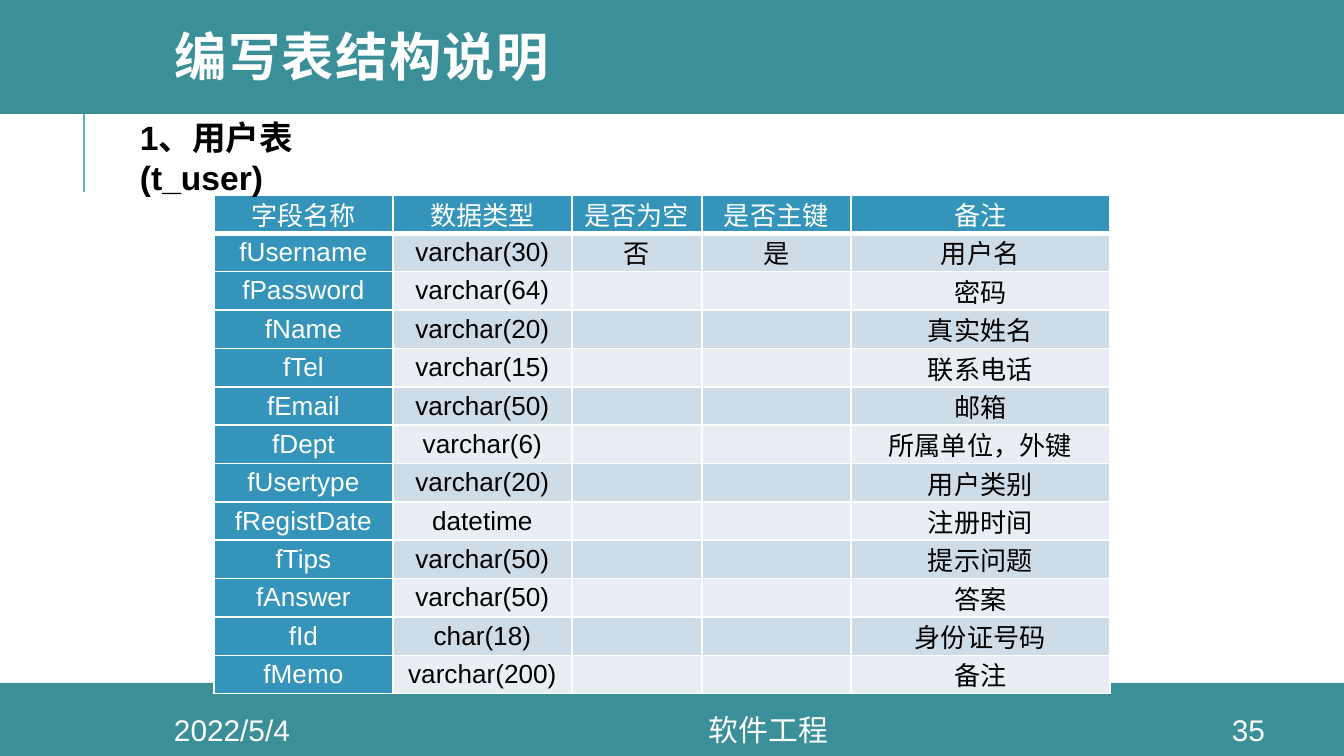
from lxml.etree import SubElement
from pptx import Presentation
from pptx.dml.color import RGBColor
from pptx.enum.shapes import MSO_CONNECTOR, MSO_SHAPE
from pptx.enum.text import MSO_ANCHOR, PP_ALIGN
from pptx.oxml.ns import qn
from pptx.util import Pt

PX = 9144000 / 1344
WHITE = RGBColor(0xFF, 0xFF, 0xFF)
BLACK = RGBColor(0, 0, 0)
TEAL = RGBColor(0x3A, 0x8F, 0x98)
LIGHT_TEAL = RGBColor(0x58, 0xB6, 0xC0)
BLUE = RGBColor(0x34, 0x94, 0xBA)
ROW_FILLS = [RGBColor(0xE8, 0xEE, 0xF3), RGBColor(0xCE, 0xDC, 0xE7)]

COLUMN_WIDTHS = [179, 179, 130, 149, 259]
TABLE_HEIGHT = 499
FIELDS = [
    ("字段名称", "数据类型", "是否为空", "是否主键", "备注"),
    ("fUsername", "varchar(30)", "否", "是", "用户名"),
    ("fPassword", "varchar(64)", "", "", "密码"),
    ("fName", "varchar(20)", "", "", "真实姓名"),
    ("fTel", "varchar(15)", "", "", "联系电话"),
    ("fEmail", "varchar(50)", "", "", "邮箱"),
    ("fDept", "varchar(6)", "", "", "所属单位，外键"),
    ("fUsertype", "varchar(20)", "", "", "用户类别"),
    ("fRegistDate", "datetime", "", "", "注册时间"),
    ("fTips", "varchar(50)", "", "", "提示问题"),
    ("fAnswer", "varchar(50)", "", "", "答案"),
    ("fId", "char(18)", "", "", "身份证号码"),
    ("fMemo", "varchar(200)", "", "", "备注"),
]


def px(*lengths):
    """Turn pixel lengths into a list of EMU."""
    return [round(length * PX) for length in lengths]


def add_text(para, text, size, color, bold=False):
    span = para.add_run()
    span.text = text
    span.font.name = "Arial"
    span.font.size = Pt(size)
    span.font.bold = bold
    span.font.color.rgb = color
    return span


deck = Presentation()
deck.slide_width, deck.slide_height = px(1344, 756)
page = deck.slides.add_slide(deck.slide_layouts[5])

# Side line and the two bands
side_line = page.shapes.add_connector(MSO_CONNECTOR.STRAIGHT, *px(84, 192, 84, 91))
side_line.line.color.rgb = LIGHT_TEAL
side_line.line.width = Pt(1.5)
SubElement(side_line.element.spPr, qn("a:effectLst"))
for top, height in [(683, 73), (-4, 118)]:
    band = page.shapes.add_shape(MSO_SHAPE.RECTANGLE, *px(0, top, 1344, height))
    band.shadow.inherit = False
    band.fill.solid()
    band.fill.fore_color.rgb = TEAL
    band.line.fill.background()

# Title, brought in front of the bands
title = page.shapes.title
page.shapes.element.append(title.element)
title.left, title.top, title.width, title.height = px(161, 0, 1141, 122)
title.text_frame.vertical_anchor = MSO_ANCHOR.MIDDLE
para = title.text_frame.paragraphs[0]
para.alignment = PP_ALIGN.LEFT
para.line_spacing = 0.8
span = add_text(para, "编写表结构说明", 28, WHITE, bold=True)
span.font._element.set("spc", "80")

# Field table
frame = page.shapes.add_table(
    len(FIELDS), len(COLUMN_WIDTHS), *px(214, 195, sum(COLUMN_WIDTHS), TABLE_HEIGHT))
table = frame.table
for column, width in zip(table.columns, COLUMN_WIDTHS):
    column.width = px(width)[0]
for row_number, texts in enumerate(FIELDS):
    table.rows[row_number].height = px(TABLE_HEIGHT / len(FIELDS))[0]
    for column_number, text in enumerate(texts):
        cell = table.cell(row_number, column_number)
        is_header = row_number == 0 or column_number == 0
        cell.margin_left, cell.margin_top, cell.margin_right, cell.margin_bottom = px(8, 0, 8, 0)
        cell.vertical_anchor = MSO_ANCHOR.MIDDLE
        para = cell.text_frame.paragraphs[0]
        para.alignment = PP_ALIGN.CENTER
        if text:
            add_text(para, text, 14, WHITE if is_header else BLACK)
        else:
            SubElement(para._p, qn("a:endParaRPr"), sz="1400")
        for side in ("lnL", "lnR", "lnT", "lnB"):
            points = 3 if row_number == 0 and side == "lnB" else 1
            border = SubElement(cell._tc.get_or_add_tcPr(), qn("a:" + side), w=str(Pt(points)))
            SubElement(SubElement(border, qn("a:solidFill")), qn("a:srgbClr"), val=str(WHITE))
        cell.fill.solid()
        cell.fill.fore_color.rgb = BLUE if is_header else ROW_FILLS[row_number % 2]

# Table heading
heading = page.shapes.add_textbox(*px(130, 118, 294, 78)).text_frame
heading.word_wrap = True
heading.vertical_anchor = MSO_ANCHOR.MIDDLE
heading.margin_left, heading.margin_top, heading.margin_right, heading.margin_bottom = px(10, 19, 10, 19)
add_text(heading.paragraphs[0], "1、用户表(t_user)", 18, BLACK, bold=True)

# Footer
for left, width, text in [(113, 238, "2022/5/4"), (351, 835, "软件工程"), (1195, 107, "35")]:
    footer = page.shapes.add_textbox(*px(left, 714, width, 31)).text_frame
    footer.word_wrap = True
    footer.vertical_anchor = MSO_ANCHOR.MIDDLE
    footer.paragraphs[0].alignment = PP_ALIGN.CENTER
    add_text(footer.paragraphs[0], text, 16, WHITE)

deck.save("out.pptx")
